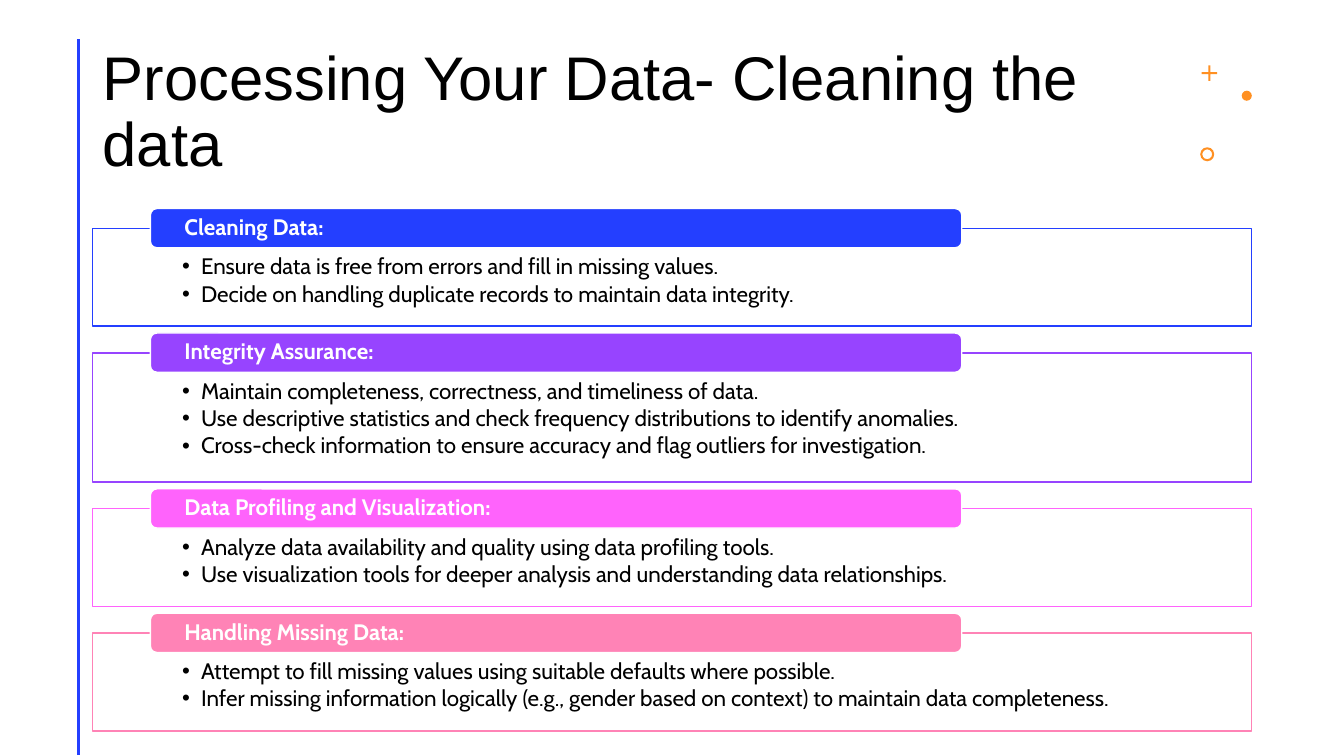
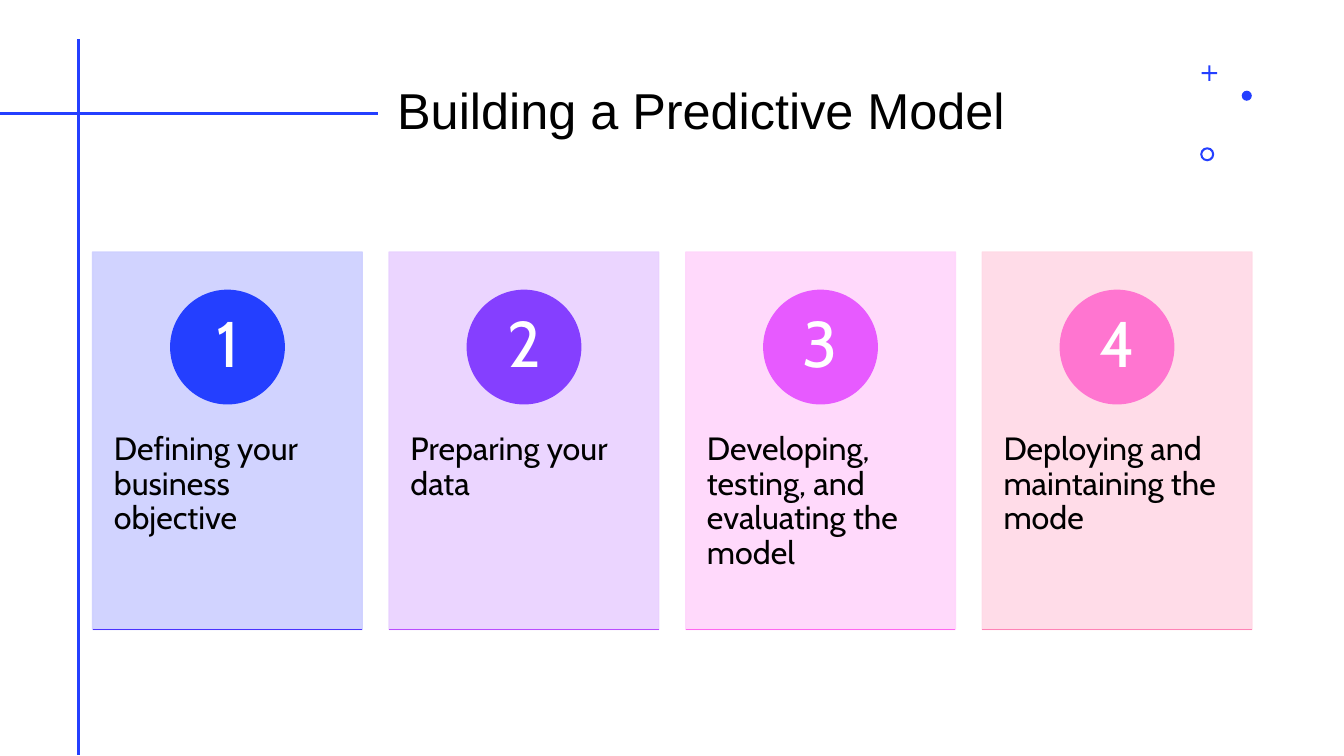
from lxml.etree import SubElement
from pptx import Presentation
from pptx.dml.color import RGBColor
from pptx.enum.shapes import MSO_CONNECTOR, MSO_SHAPE
from pptx.enum.text import MSO_ANCHOR, MSO_AUTO_SIZE, PP_ALIGN
from pptx.oxml.ns import qn
from pptx.util import Pt

COLORS = {
    "black": "000000", "white": "FFFFFF", "blue": "243FFF", "orange": "FF9022",
    "purple": "9744FF", "magenta": "FF63FC", "pink": "FF83B6",
    "violet": "853FFF", "orchid": "E75AFF", "rose": "FF75D0",
    "pale_blue": "CDCFFF", "pale_violet": "E9D1FF",
    "pale_magenta": "FFD5FB", "pale_pink": "FFD9E6",
    "base_blue": "4A32FF", "base_violet": "BA4DFF", "base_magenta": "FF68F0",
}
TITLE_FONT, BODY_FONT = "Arial", "Cabin"
LEFT, CONTENT_W = 66.2, 828
TITLE_TOP, TITLE_RIGHT, TITLE_H = 28.8, 841, 104.4

SECTIONS = [
    ("blue", "Cleaning Data:", [
        "Ensure data is free from errors and fill in missing values.",
        "Decide on handling duplicate records to maintain data integrity."]),
    ("purple", "Integrity Assurance:", [
        "Maintain completeness, correctness, and timeliness of data.",
        "Use descriptive statistics and check frequency distributions to identify anomalies.",
        "Cross-check information to ensure accuracy and flag outliers for investigation."]),
    ("magenta", "Data Profiling and Visualization:", [
        "Analyze data availability and quality using data profiling tools.",
        "Use visualization tools for deeper analysis and understanding data relationships."]),
    ("pink", "Handling Missing Data:", [
        "Attempt to fill missing values using suitable defaults where possible.",
        "Infer missing information logically (e.g., gender based on context) "
        "to maintain data completeness."]),
]
# card fill, circle, base line, text
STEPS = [
    ("pale_blue", "blue", "base_blue", "Defining your business objective"),
    ("pale_violet", "violet", "base_violet", "Preparing your data"),
    ("pale_magenta", "orchid", "base_magenta",
     "Developing, testing, and evaluating the model"),
    ("pale_pink", "rose", "pink", "Deploying and maintaining the mode"),
]


def rgb(name):
    return RGBColor.from_string(COLORS[name])


# Basic elements
def add_shape(slide, kind, x, y, w, h, fill, line=None, alpha=None):
    sp = slide.shapes.add_shape(kind, Pt(x), Pt(y), Pt(w), Pt(h))
    sp.shadow.inherit = False
    sp.fill.solid()
    sp.fill.fore_color.rgb = rgb(fill)
    if line:
        sp.line.color.rgb = rgb(line)
        sp.line.width = Pt(1)
    else:
        sp.line.fill.background()
    if alpha:
        for clr in list(sp._element.spPr.iter(qn("a:srgbClr"))):
            SubElement(clr, qn("a:alpha"), val=str(alpha * 1000))
    return sp


def add_line(slide, x1, y1, x2, y2, color, width):
    cn = slide.shapes.add_connector(
        MSO_CONNECTOR.STRAIGHT, Pt(x1), Pt(y1), Pt(x2), Pt(y2))
    cn.line.color.rgb = rgb(color)
    cn.line.width = Pt(width)
    SubElement(cn._element.spPr, qn("a:effectLst"))


def add_bullet(p, indent):
    pPr = p._p.get_or_add_pPr()
    pPr.set("marL", str(Pt(indent)))
    pPr.set("indent", str(-Pt(indent)))
    SubElement(pPr, qn("a:buFont"), typeface="Arial")
    SubElement(pPr, qn("a:buChar"), char="•")


def write(sp, lines, size, color="black", font=BODY_FONT, bold=False, bullets=False,
          align=PP_ALIGN.LEFT, anchor=MSO_ANCHOR.TOP, insets=(7.2, 3.6, 7.2, 3.6)):
    tf = sp.text_frame
    tf.word_wrap = True
    tf.auto_size = MSO_AUTO_SIZE.NONE
    tf.vertical_anchor = anchor
    tf.margin_left, tf.margin_top, tf.margin_right, tf.margin_bottom = map(Pt, insets)
    for i, line in enumerate(lines):
        p = tf.add_paragraph() if i else tf.paragraphs[0]
        if bullets:
            add_bullet(p, 13.5)
            p.space_after = Pt(2.2)
        p.alignment = align
        p.line_spacing = 0.9
        r = p.add_run()
        r.text = line
        r.font.name, r.font.size, r.font.bold = font, Pt(size), bold
        r.font.color.rgb = rgb(color)


# Parts shared by the slides
def add_slide(prs, title, size, title_left, accent):
    slide = prs.slides.add_slide(prs.slide_layouts[5])
    add_line(slide, 56, 28, 56, 539.5, "blue", 2)
    sp = slide.shapes.title
    sp.left, sp.top = Pt(title_left), Pt(TITLE_TOP)
    sp.width, sp.height = Pt(TITLE_RIGHT - title_left), Pt(TITLE_H)
    write(sp, [title], size, font=TITLE_FONT, anchor=MSO_ANCHOR.MIDDLE)
    plus = add_shape(slide, MSO_SHAPE.CROSS, 858.4, 46.8, 11, 11, accent)
    plus.adjustments[0] = 0.435
    add_shape(slide, MSO_SHAPE.OVAL, 887, 64.8, 7.2, 7.2, accent)
    ring = add_shape(slide, MSO_SHAPE.DONUT, 857.3, 105.2, 10, 10, accent)
    ring.adjustments[0] = 0.15
    return slide


# Outlined panel with a heading tab on its top edge
def add_section(slide, top, height, color, heading, bullets):
    panel = add_shape(slide, MSO_SHAPE.RECTANGLE, LEFT, top, CONTENT_W, height,
                      "white", color)
    write(panel, bullets, 16, bullets=True, insets=(64, 19.4, 64, 8.6))
    tab = add_shape(slide, MSO_SHAPE.ROUNDED_RECTANGLE, LEFT + 41.2, top - 14.2,
                    579.6, 28, color, "white")
    write(tab, [heading], 16, "white", bold=True, anchor=MSO_ANCHOR.MIDDLE,
          insets=(23, 0, 23, 0))


# Numbered card with a base line
def add_step(slide, number, left, width, fill, accent, base, text):
    top, height, circle = 180, 269.6, 81
    add_shape(slide, MSO_SHAPE.RECTANGLE, left, top, width, height, fill, fill, 90)
    box = slide.shapes.add_textbox(Pt(left), Pt(283), Pt(width), Pt(162))
    write(box, [text], 23, insets=(15.2, 26, 15.2, 26))
    disc = add_shape(slide, MSO_SHAPE.OVAL, left + (width - circle) / 2, top + 27.4,
                     circle, circle, accent, accent)
    write(disc, [str(number)], 46, "white", align=PP_ALIGN.CENTER,
          anchor=MSO_ANCHOR.MIDDLE, insets=(6.5, 0.7, 6.5, 0.7))
    add_line(slide, left, top + height, left + width, top + height, base, 1)


def cleaning_slide(prs):
    slide = add_slide(prs, "Processing Your Data- Cleaning the data", 44, LEFT, "orange")
    top, gap = 163.2, 19.1
    for color, heading, bullets in SECTIONS:
        height = 25 + 22.4 * len(bullets)
        add_section(slide, top, height, color, heading, bullets)
        top += height + gap


def model_slide(prs):
    slide = add_slide(prs, "Building a Predictive Model", 36, 276.5, "blue")
    add_line(slide, 0, 81, 270, 81, "blue", 2)
    gap = 19.2
    width = (CONTENT_W - gap * (len(STEPS) - 1)) / len(STEPS)
    for i, step in enumerate(STEPS):
        add_step(slide, i + 1, LEFT + i * (width + gap), width, *step)


def main():
    prs = Presentation()
    prs.slide_width, prs.slide_height = Pt(960), Pt(540)
    cleaning_slide(prs)
    model_slide(prs)
    prs.save("out.pptx")


if __name__ == "__main__":
    main()
